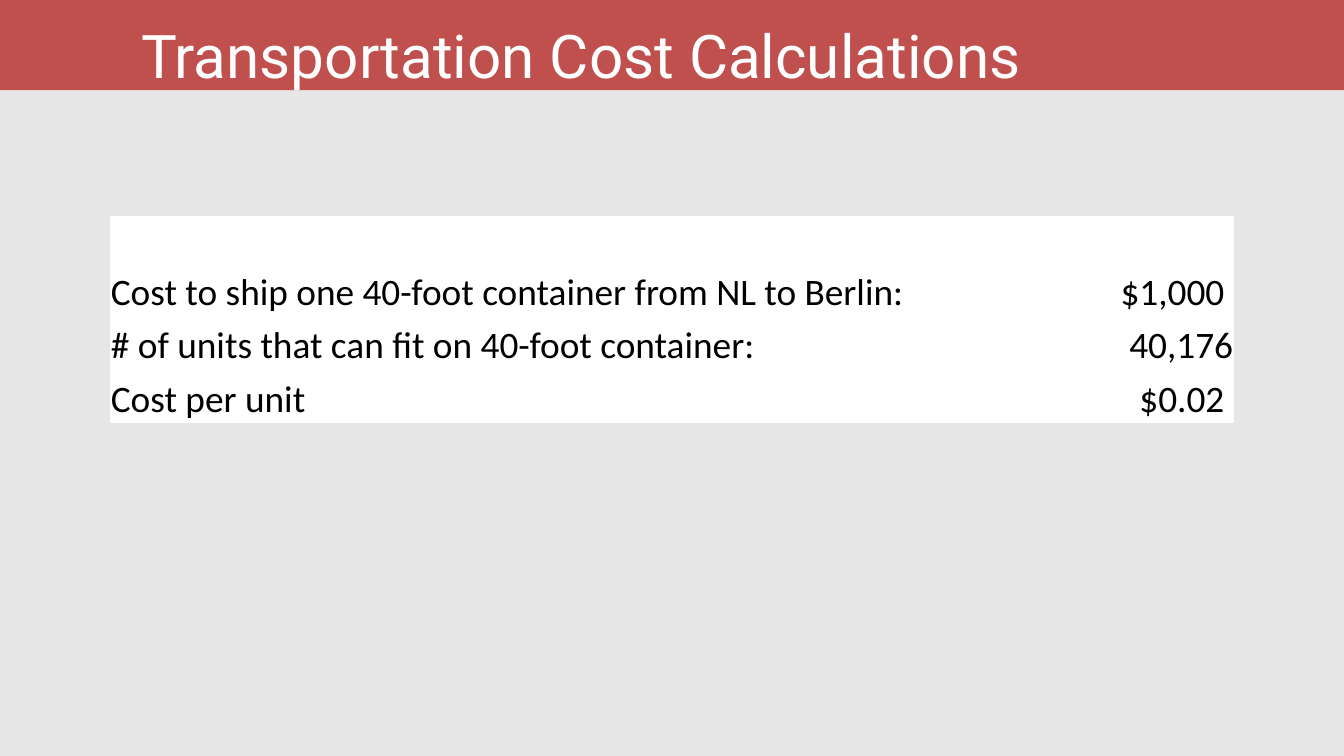
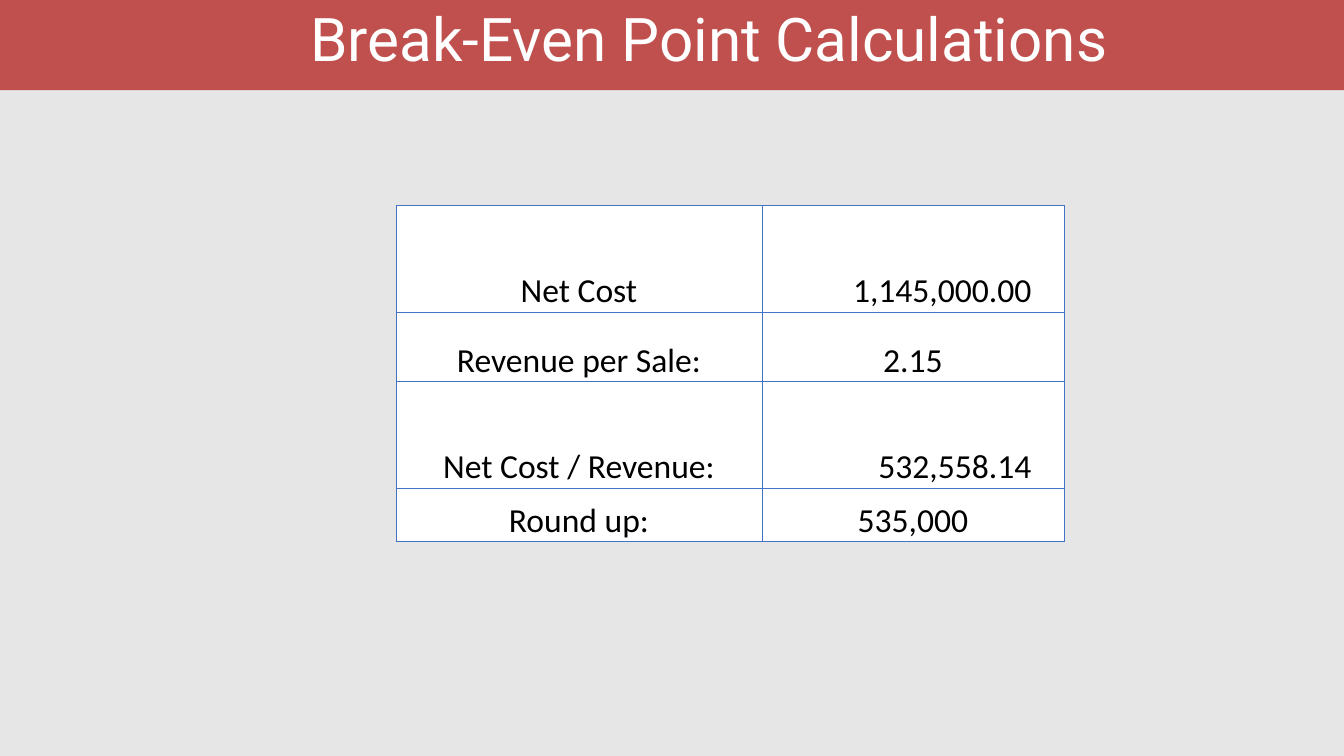
import pptx
import pptx.dml.color
import pptx.enum.shapes
import pptx.enum.text
import pptx.oxml.ns
import pptx.util
from lxml import etree

PX = 9144  # EMU in one px, 100 px to the inch
COLORS = {
    "background": "E7E6E6",
    "band": "C0504D",
    "white": "FFFFFF",
    "black": "000000",
    "grid": "4472C4",
}
TITLE_FONT, BODY_FONT = "Roboto", "Calibri"
ALIGN = pptx.enum.text.PP_ALIGN


def px(length):
    return pptx.util.Emu(length * PX)


def color(name):
    return pptx.dml.color.RGBColor.from_string(COLORS[name])


class Deck:
    def __init__(self, width, height):
        self.presentation = pptx.Presentation()
        self.presentation.slide_width = px(width)
        self.presentation.slide_height = px(height)
        self.fill(self.presentation.slide_master.background, "background")
        self.slide = None

    def fill(self, target, name):
        target.fill.solid()
        target.fill.fore_color.rgb = color(name)

    def add_run(self, paragraph, text, font, size, name):
        run = paragraph.add_run()
        run.text = text
        run.font.name = font
        run.font.size = pptx.util.Pt(size)
        run.font.color.rgb = color(name)

    def add_slide(self, title, left, top, width, height):
        layout = self.presentation.slide_layouts.get_by_name("Title Only")
        self.slide = self.presentation.slides.add_slide(layout)
        self.add_band()
        self.add_title(title, left, top, width, height)

    def add_band(self):
        band = self.slide.shapes.add_shape(
            pptx.enum.shapes.MSO_SHAPE.RECTANGLE, px(-9), px(-28), px(2037), px(162))
        band.shadow.inherit = False
        self.fill(band, "band")
        band.line.fill.background()
        # The band lies behind the title
        self.slide.shapes.title.element.addprevious(band.element)

    def add_title(self, text, left, top, width, height):
        title = self.slide.shapes.title
        title.left, title.top = px(left), px(top)
        title.width, title.height = px(width), px(height)
        frame = title.text_frame
        frame.margin_left = frame.margin_right = 0
        frame.margin_top = frame.margin_bottom = 0
        frame.word_wrap = True
        frame.auto_size = pptx.enum.text.MSO_AUTO_SIZE.NONE
        frame.vertical_anchor = pptx.enum.text.MSO_ANCHOR.TOP
        paragraph = frame.paragraphs[0]
        paragraph.alignment = ALIGN.LEFT
        paragraph.line_spacing = pptx.util.Pt(78)
        self.add_run(paragraph, text, TITLE_FONT, 64.5, "white")

    def add_borders(self, cell, name, points):
        properties = cell._tc.get_or_add_tcPr()
        qn = pptx.oxml.ns.qn
        for side in ("a:lnL", "a:lnR", "a:lnT", "a:lnB"):
            line = etree.SubElement(properties, qn(side), w=str(pptx.util.Pt(points)))
            solid = etree.SubElement(line, qn("a:solidFill"))
            etree.SubElement(solid, qn("a:srgbClr"), val=COLORS[name])

    def add_table(self, left, top, widths, heights, rows, size, border):
        """Each cell is a text, an alignment and a right margin in px."""
        table = self.slide.shapes.add_table(
            len(heights), len(widths), px(left), px(top),
            px(sum(widths)), px(sum(heights))).table
        table.first_row = table.horz_banding = False
        for column, width in zip(table.columns, widths):
            column.width = px(width)
        for row, height, contents in zip(table.rows, heights, rows):
            row.height = px(height)
            for cell, (text, alignment, right) in zip(row.cells, contents):
                cell.margin_left = cell.margin_top = px(1)
                cell.margin_right, cell.margin_bottom = px(right), 0
                cell.vertical_anchor = pptx.enum.text.MSO_ANCHOR.BOTTOM
                self.add_borders(cell, *border)
                self.fill(cell, "white")
                paragraph = cell.text_frame.paragraphs[0]
                paragraph.alignment = alignment
                self.add_run(paragraph, text, BODY_FONT, size, "black")


def main():
    deck = Deck(2000, 1125)

    # Transportation cost: amounts in dollars stand in from the edge
    deck.add_slide("Transportation Cost Calculations", 210, 27, 1956, 215)
    costs = [
        ("Cost to ship one 40-foot container from NL to Berlin:", "$1,000", 14),
        ("# of units that can fit on 40-foot container:", "40,176", 1),
        ("Cost per unit", "$0.02", 14),
    ]
    rows = [[(label, ALIGN.LEFT, 1), (value, ALIGN.RIGHT, right)]
            for label, value, right in costs]
    deck.add_table(164, 322, [1288, 384], [148, 79, 79], rows, 40, ("white", 1))

    # Break-even point: long amounts share a right edge, the others are centred
    deck.add_slide("Break-Even Point Calculations", 462, 1, 1255, 105)
    steps = [
        ("Net Cost", "1,145,000.00", ALIGN.RIGHT, 48),
        ("Revenue per Sale:", "2.15", ALIGN.CENTER, 1),
        ("Net Cost / Revenue:", "532,558.14", ALIGN.RIGHT, 48),
        ("Round up:", "535,000", ALIGN.CENTER, 1),
    ]
    rows = [[(label, ALIGN.CENTER, 1), (value, alignment, right)]
            for label, value, alignment, right in steps]
    deck.add_table(589, 306, [545, 449], [158, 104, 158, 80], rows, 36, ("grid", 0.5))

    deck.presentation.save("out.pptx")


if __name__ == "__main__":
    main()
